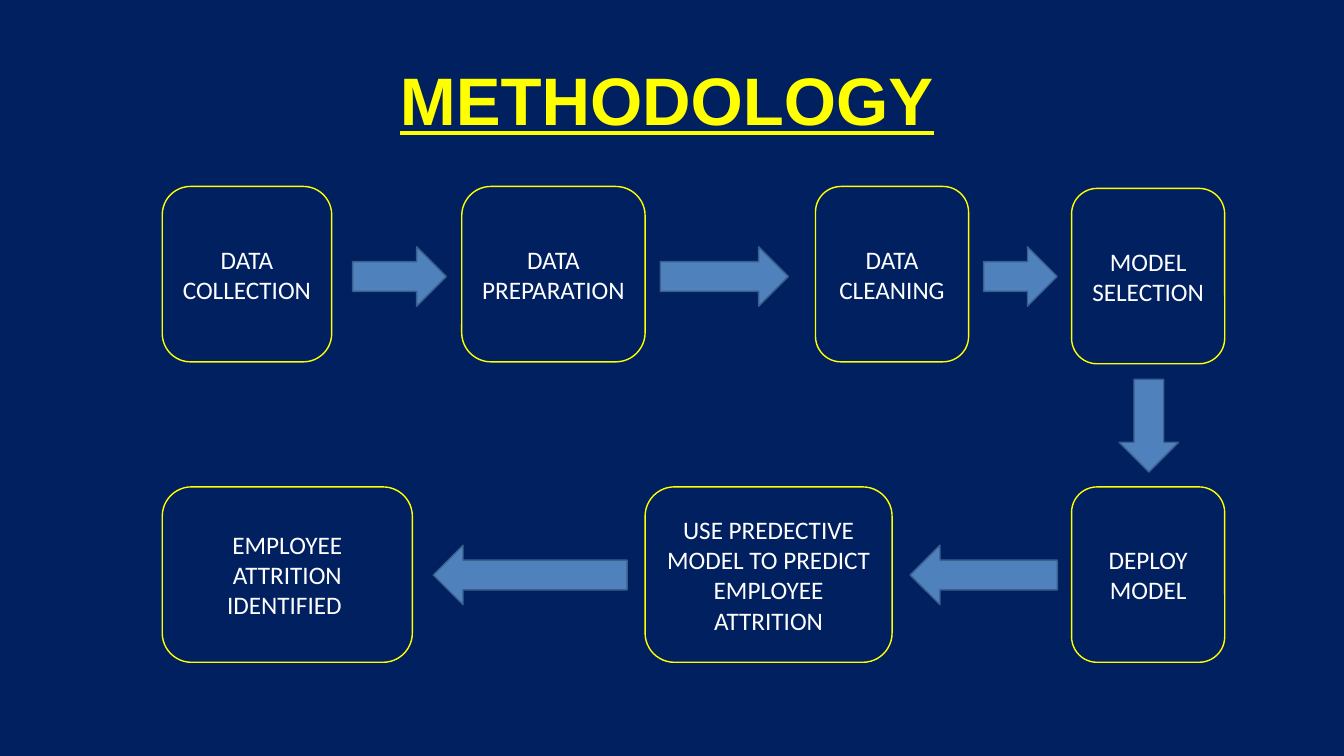
from pptx import Presentation
from pptx.dml.color import RGBColor
from pptx.enum.shapes import MSO_SHAPE
from pptx.enum.text import MSO_ANCHOR, PP_ALIGN
from pptx.util import Pt

# Content
HEADING = "METHODOLOGY"
UPPER_TOP, LOWER_TOP, STEP_HEIGHT = 133.2, 347.8, 125.3
STEPS = [  # text, left, top, width
    ("DATA\nCOLLECTION", 115.9, UPPER_TOP, 121),
    ("DATA PREPARATION", 329.8, UPPER_TOP, 131),
    ("DATA CLEANING", 582.5, UPPER_TOP, 109.4),
    ("MODEL SELECTION", 765.4, UPPER_TOP + 1.4, 109.4),
    ("DEPLOY\nMODEL", 765.4, LOWER_TOP, 109.4),
    ("USE PREDECTIVE MODEL TO PREDICT EMPLOYEE ATTRITION", 460.8, LOWER_TOP, 176.4),
    ("EMPLOYEE ATTRITION IDENTIFIED ", 115.9, LOWER_TOP, 178.6),
]
UPPER_FLOW, LOWER_FLOW, ARROW_THICKNESS = 197.5, 410.7, 42.5
ARROWS = [  # centre x, centre y, length, rotation
    (285.4, UPPER_FLOW, 67, 0),
    (517.4, UPPER_FLOW, 91.6, 0),
    (728.9, UPPER_FLOW, 52.6, 0),
    (820.6, 304.1, 66.2, 90),
    (702.7, LOWER_FLOW, 105.1, 180),
    (378.7, LOWER_FLOW, 138.5, 180),
]
THEME = {
    "navy": RGBColor.from_string("002060"),
    "yellow": RGBColor.from_string("FFFF00"),
    "white": RGBColor.from_string("FFFFFF"),
    "arrow": RGBColor.from_string("4F81BD"),
    "arrow_edge": RGBColor.from_string("3A5F8C"),
    "heading_font": "Arial", "heading_size": Pt(48),
    "step_font": "Calibri", "step_size": Pt(18),
    "line": Pt(1),
}


def write(frame, text, font, size, color, emphasis=False):
    frame.word_wrap = True
    frame.vertical_anchor = MSO_ANCHOR.MIDDLE
    frame.text = text
    for paragraph in frame.paragraphs:
        paragraph.alignment = PP_ALIGN.CENTER
        for run in paragraph.runs:
            run.font.name, run.font.size = font, size
            run.font.color.rgb = color
            run.font.bold = run.font.underline = emphasis


def add_block(preset, left, top, width, height, fill, edge):
    block = slide.shapes.add_shape(preset, Pt(left), Pt(top), Pt(width), Pt(height))
    block.shadow.inherit = False
    block.fill.solid()
    block.fill.fore_color.rgb = fill
    block.line.color.rgb = edge
    block.line.width = THEME["line"]
    return block


# Slide
deck = Presentation()
deck.slide_width, deck.slide_height = Pt(960), Pt(540)
slide = deck.slides.add_slide(deck.slide_layouts[6])
slide.background.fill.solid()
slide.background.fill.fore_color.rgb = THEME["navy"]

# Heading
heading = slide.shapes.add_textbox(Pt(15.8), Pt(44.6), Pt(920.9), Pt(59))
write(heading.text_frame, HEADING, THEME["heading_font"], THEME["heading_size"],
      THEME["yellow"], emphasis=True)
heading.text_frame.paragraphs[0].line_spacing = 0.9

# Process steps
for text, left, top, width in STEPS:
    step = add_block(MSO_SHAPE.ROUNDED_RECTANGLE, left, top, width, STEP_HEIGHT,
                     THEME["navy"], THEME["yellow"])
    write(step.text_frame, text, THEME["step_font"], THEME["step_size"], THEME["white"])

# Arrows between steps
for center_x, center_y, length, rotation in ARROWS:
    arrow = add_block(MSO_SHAPE.RIGHT_ARROW, center_x - length / 2,
                      center_y - ARROW_THICKNESS / 2, length, ARROW_THICKNESS,
                      THEME["arrow"], THEME["arrow_edge"])
    arrow.rotation = rotation

deck.save("out.pptx")
